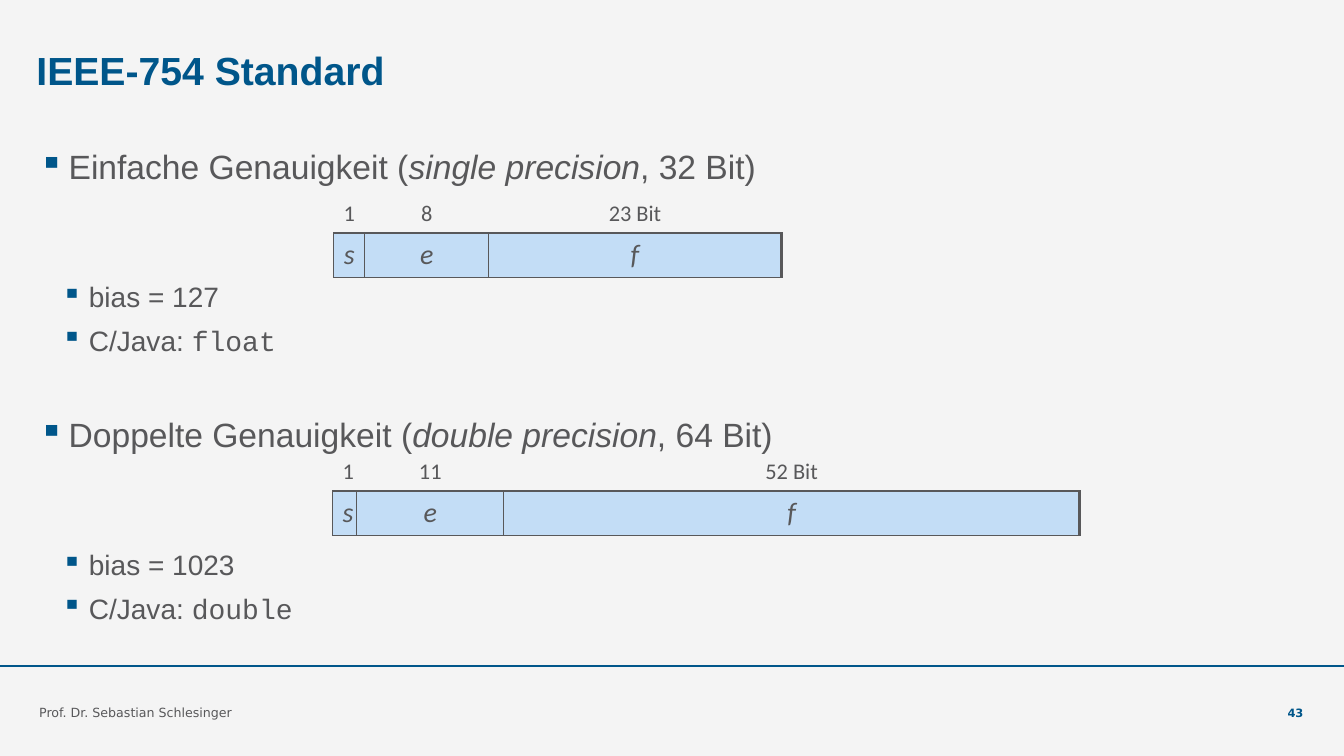
from lxml.etree import SubElement
from pptx import Presentation
from pptx.dml.color import RGBColor
from pptx.enum.shapes import MSO_SHAPE as SHAPE
from pptx.enum.text import MSO_ANCHOR as ANCHOR, PP_ALIGN as ALIGN
from pptx.oxml.ns import qn
from pptx.util import Pt

COLORS = {"blue": "00568A", "gray": "58585A", "field": "3399FF", "background": "F4F4F4"}


def rgb(name):
    return RGBColor.from_string(COLORS[name])


def write(paragraph, text, size=20, font="Arial", color="gray", bold=False,
          italic=False, align=None):
    """Append a formatted run to the paragraph."""
    run = paragraph.add_run()
    run.text = text
    run.font.size, run.font.name = Pt(size), font
    run.font.bold, run.font.italic = bold, italic
    run.font.color.rgb = rgb(color)
    if align is not None:
        paragraph.alignment = align


prs = Presentation()
prs.slide_width, prs.slide_height = Pt(960), Pt(540)
slide = prs.slides.add_slide(prs.slide_layouts[5])
slide.background.fill.solid()
slide.background.fill.fore_color.rgb = rgb("background")

rule = slide.shapes.add_shape(SHAPE.RECTANGLE, 0, Pt(475), Pt(960), Pt(1.4))
rule.shadow.inherit = False
rule.fill.solid()
rule.fill.fore_color.rgb = rgb("blue")
rule.line.fill.background()

# Text frames
title = slide.shapes.title
title.left, title.top, title.width, title.height = Pt(26), Pt(33), Pt(600), Pt(45)
body = slide.shapes.add_textbox(Pt(28), Pt(102), Pt(904), Pt(350))
author = slide.shapes.add_textbox(Pt(28), Pt(486), Pt(662), Pt(28))
page = slide.shapes.add_textbox(Pt(866), Pt(486), Pt(65), Pt(28))
for box, anchor in ((title, ANCHOR.TOP), (body, ANCHOR.TOP),
                    (author, ANCHOR.BOTTOM), (page, ANCHOR.BOTTOM)):
    frame = box.text_frame
    frame.word_wrap, frame.vertical_anchor = True, anchor
    frame.margin_left = frame.margin_right = frame.margin_top = frame.margin_bottom = 0

write(title.text_frame.paragraphs[0], "IEEE-754 Standard", size=28, color="blue",
      bold=True, align=ALIGN.LEFT)
write(author.text_frame.paragraphs[0], "Prof. Dr. Sebastian Schlesinger", size=9,
      font="DejaVu Sans")
write(page.text_frame.paragraphs[0], "43", size=8.2, font="DejaVu Sans", color="blue",
      bold=True, align=ALIGN.RIGHT)

# Precision formats: bullets and bit layout
FORMATS = [
    ("Einfache", "single", 32, 127, "float", 3.9, (238.3, 139.7),
     [("1", 22.3), ("8", 88.6), ("23 Bit", 208.8)]),
    ("Doppelte", "double", 64, 1023, "double", 38.5, (237.6, 324),
     [("1", 17.2), ("11", 105.1), ("52 Bit", 411.1)]),
]
paragraph = body.text_frame.paragraphs[0]
for german, english, bits, bias, keyword, gap, (left, top), fields in FORMATS:
    bullets = [
        (0, gap, [(f"{german} Genauigkeit (", {"size": 24}),
                  (f"{english} precision", {"size": 24, "italic": True}),
                  (f", {bits} Bit)", {"size": 24})]),
        (1, 65, [(f"bias = {bias}", {})]),
        (1, 5, [("C/Java: ", {}), (keyword, {"font": "Courier New"})]),
    ]
    for level, before, runs in bullets:
        if paragraph.runs:
            paragraph = body.text_frame.add_paragraph()
        paragraph.level = level
        paragraph.space_before, paragraph.line_spacing = Pt(before), 1.08
        props = paragraph._p.get_or_add_pPr()
        margin, indent = ((21, -21), (35.5, -19.5))[level]
        props.set("marL", str(Pt(margin)))
        props.set("indent", str(Pt(indent)))
        bullet_color = SubElement(props, qn("a:buClr"))
        SubElement(bullet_color, qn("a:srgbClr"), val=COLORS["blue"])
        SubElement(props, qn("a:buChar"), char="▪")
        for text, style in runs:
            write(paragraph, text, **style)

    total = sum(width for _, width in fields)
    layout = slide.shapes.add_table(2, 3, Pt(left), Pt(top), Pt(total), Pt(58.5)).table
    layout.first_row = layout.horz_banding = False
    layout.rows[0].height, layout.rows[1].height = Pt(26.7), Pt(31.8)
    for col, ((count, width), symbol) in enumerate(zip(fields, "sef")):
        layout.columns[col].width = Pt(width)
        count_cell, symbol_cell = layout.cell(0, col), layout.cell(1, col)
        write(count_cell.text_frame.paragraphs[0], count, size=16, font="Calibri",
              align=ALIGN.CENTER)
        write(symbol_cell.text_frame.paragraphs[0], symbol, font="Calibri", italic=True,
              align=ALIGN.CENTER)
        for cell, sides in ((count_cell, "B"), (symbol_cell, "LRTB")):
            props = cell._tc.get_or_add_tcPr()
            for side in "LRTB":
                weight = 2.25 if side == "R" and symbol == "f" else 1
                border = SubElement(props, qn(f"a:ln{side}"), w=str(Pt(weight)))
                if side in sides:
                    stroke = SubElement(border, qn("a:solidFill"))
                    SubElement(stroke, qn("a:srgbClr"), val=COLORS["gray"])
                else:
                    SubElement(border, qn("a:noFill"))
        count_cell.fill.background()
        symbol_cell.fill.solid()
        symbol_cell.fill.fore_color.rgb = rgb("field")
        tint = symbol_cell._tc.tcPr.find(qn("a:solidFill")).find(qn("a:srgbClr"))
        SubElement(tint, qn("a:alpha"), val="25000")

prs.save("out.pptx")
